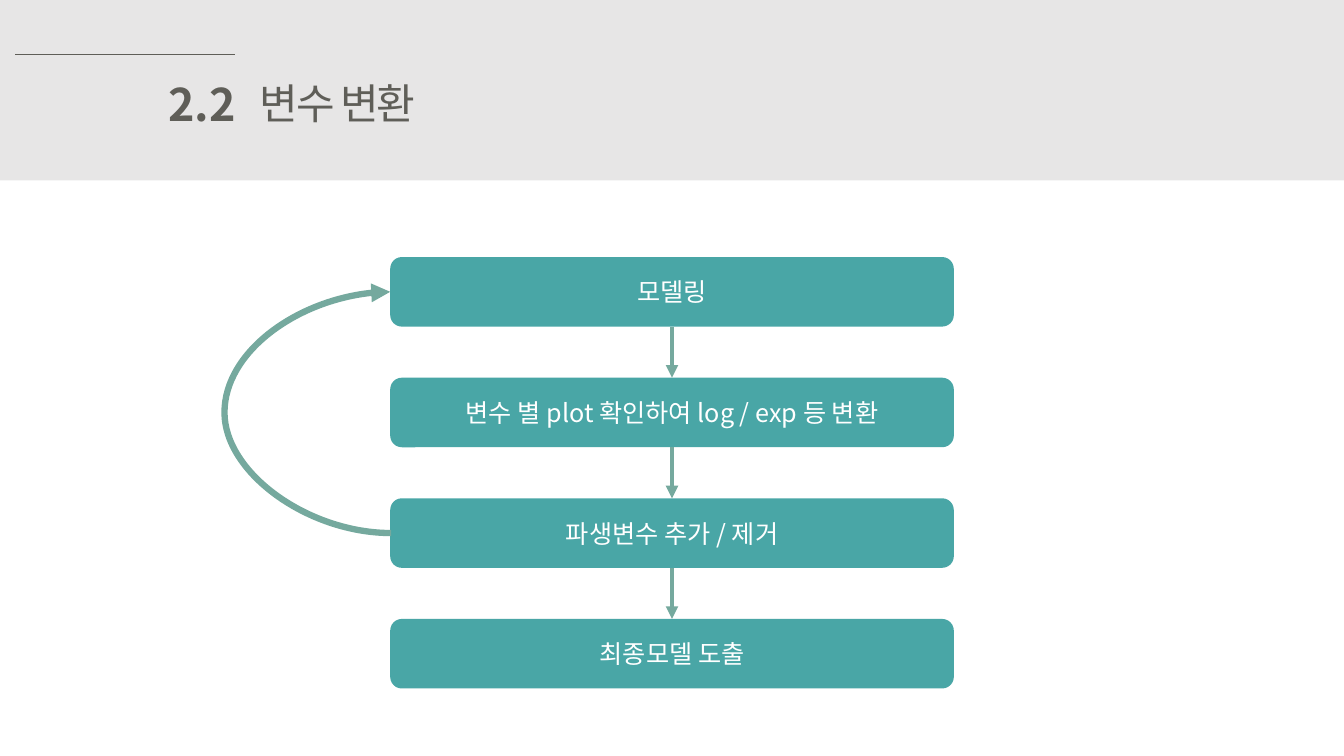
from lxml import etree
from pptx import Presentation
from pptx import util as u
from pptx.dml.color import RGBColor
from pptx.enum import shapes, text
from pptx.oxml import ns

FONT = "Noto Sans CJK KR"
GREY, INK, TEAL, SAGE, WHITE = "E7E6E6", "5F5E58", "49A6A6", "75A99E", "FFFFFF"
WIDTH, HEIGHT = 13.33, 7.5
STEPS = [
    "모델링",
    "변수 별 plot 확인하여 log / exp 등 변환",
    "파생변수 추가 / 제거",
    "최종모델 도출",
]


def color(hex_code):
    return RGBColor.from_string(hex_code)


def inches(*lengths):
    return [u.Inches(length) for length in lengths]


def add_xml(parent, tag, **attributes):
    return etree.SubElement(parent, ns.qn(tag), **attributes)


def write(frame, words, size=18, ink=WHITE, bold=False, align=text.PP_ALIGN.LEFT,
          anchor=text.MSO_ANCHOR.TOP, wrap=True, spacing=None):
    frame.word_wrap = wrap
    frame.vertical_anchor = anchor
    para = frame.paragraphs[0]
    para.alignment = align
    span = para.add_run()
    span.text = words
    span.font.name = FONT
    span.font.size = u.Pt(size)
    span.font.bold = bold
    span.font.color.rgb = color(ink)
    properties = span.font._element
    add_xml(properties, "a:ea", typeface=FONT)
    if spacing is not None:
        properties.set("spc", str(round(spacing * 100)))


def add_block(page, kind, box, fill):
    block = page.shapes.add_shape(kind, *inches(*box))
    block.shadow.inherit = False
    block.fill.solid()
    block.fill.fore_color.rgb = color(fill)
    block.line.fill.background()
    return block


def add_label(page, box, words, **style):
    label = page.shapes.add_textbox(*inches(*box))
    write(label.text_frame, words, wrap=False, **style)
    label.text_frame.auto_size = text.MSO_AUTO_SIZE.SHAPE_TO_FIT_TEXT


def add_line(page, start, end, ink, weight, arrow=False,
             kind=shapes.MSO_CONNECTOR.STRAIGHT):
    line = page.shapes.add_connector(kind, *inches(*start, *end))
    line.line.color.rgb = color(ink)
    line.line.width = u.Pt(weight)
    if arrow:
        add_xml(line.line._get_or_add_ln(), "a:tailEnd", type="triangle")
    add_xml(line._element.spPr, "a:effectLst")
    return line


def add_header(page, box):
    left, top, width, height = box
    add_block(page, shapes.MSO_SHAPE.RECTANGLE, box, GREY)
    label_top = top + 0.4 * height
    add_label(page, (left + 1.56, label_top, 0.88, 0.64), "2.2",
              size=32, ink=INK, bold=True, align=text.PP_ALIGN.RIGHT)
    add_label(page, (left + 2.48, label_top, 1.8, 0.61), "변수 변환",
              size=30, ink=INK, spacing=-1.5)
    rule_top = top + 0.3 * height
    add_line(page, (left + 0.15, rule_top), (left + 2.33, rule_top), INK, 0.5)


def add_return_arrow(page, left, top, bottom, bulge):
    """Curve from the lower point back to the upper one, bulging to the left."""
    sliver = 0.01
    curve = add_line(page, (left, top), (left + sliver, bottom), SAGE, 4.5, arrow=True,
                     kind=shapes.MSO_CONNECTOR.CURVE)
    geometry = curve._element.spPr
    geometry.find(ns.qn("a:xfrm")).set("rot", "10800000")
    guides = geometry.find(ns.qn("a:prstGeom")).find(ns.qn("a:avLst"))
    share = round(bulge / sliver * 100000)
    add_xml(guides, "a:gd", name="adj1", fmla=f"val {share}")


def add_flow(page, box, steps):
    left, top, width, height = box
    step_height = 0.69
    pitch = (height - step_height) / (len(steps) - 1)
    tops = [top + row * pitch for row in range(len(steps))]
    blocks = []
    for step, step_top in zip(steps, tops):
        block = add_block(page, shapes.MSO_SHAPE.ROUNDED_RECTANGLE,
                          (left, step_top, width, step_height), TEAL)
        write(block.text_frame, step, align=text.PP_ALIGN.CENTER,
              anchor=text.MSO_ANCHOR.MIDDLE)
        blocks.append(block)
    center = left + width / 2
    for upper, lower, step_top in zip(blocks, blocks[1:], tops):
        arrow = add_line(page, (center, step_top + step_height),
                         (center, step_top + pitch), SAGE, 3, arrow=True)
        arrow.begin_connect(upper, 2)
        arrow.end_connect(lower, 0)
    middle = step_height / 2
    add_return_arrow(page, left, tops[0] + middle, tops[2] + middle, bulge=1.68)


def main():
    deck = Presentation()
    deck.slide_width, deck.slide_height = inches(WIDTH, HEIGHT)
    page = deck.slides.add_slide(deck.slide_layouts[6])
    add_header(page, (0, 0, WIDTH, 1.79))
    add_flow(page, (3.87, 2.55, 5.59, 4.28), STEPS)
    deck.save("out.pptx")


if __name__ == "__main__":
    main()
